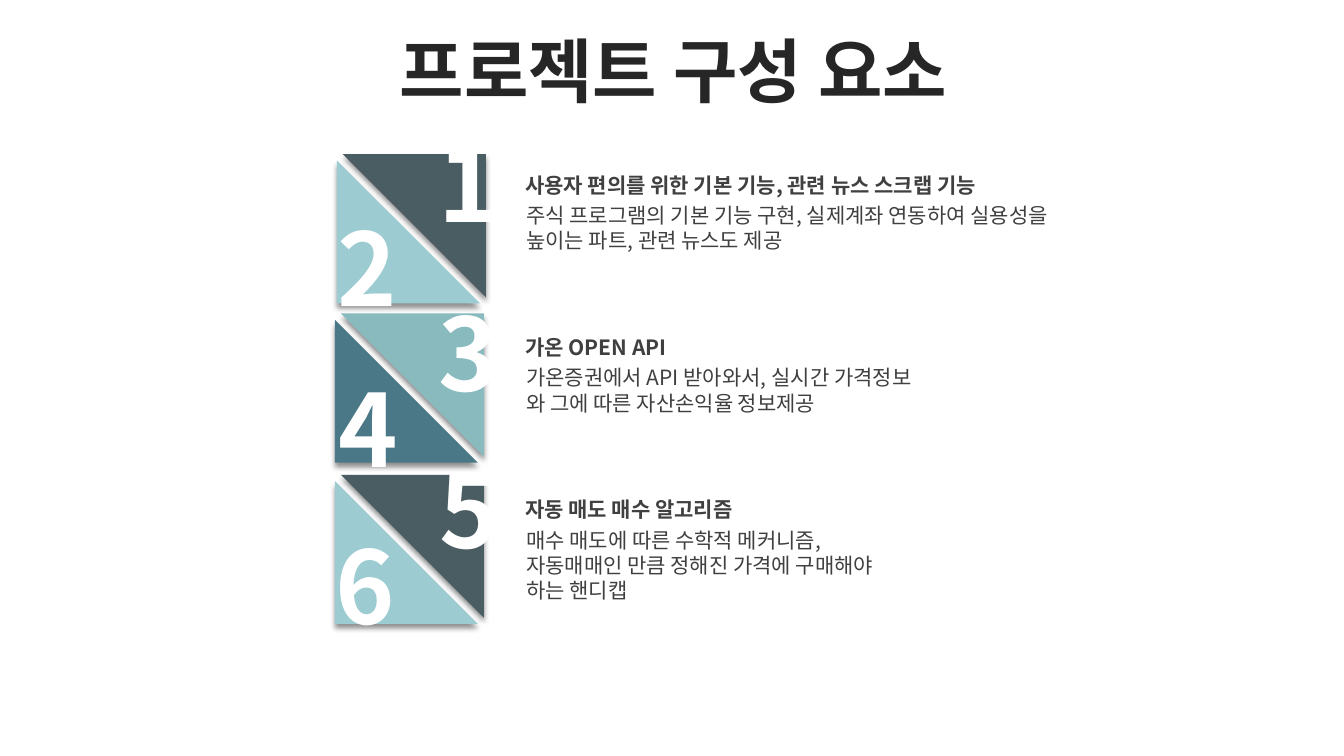
import pptx
import pptx.util
import pptx.dml.color
import pptx.enum.shapes
import pptx.enum.text
import pptx.oxml
import pptx.oxml.ns

PX = 9144
FONT = "Noto Sans CJK KR"
COLORS = {
    "title": "262626",
    "body": "404040",
    "number": "FFFFFF",
    "light": "9CCCD2",
    "slate": "4A5D62",
    "teal": "4A7886",
    "mint": "88BABE",
}
SHADOW = (
    f'<a:effectLst {pptx.oxml.ns.nsdecls("a")}>'
    '<a:outerShdw blurRad="50800" dist="38100" dir="5400000" algn="t" rotWithShape="0">'
    '<a:srgbClr val="000000"><a:alpha val="43000"/></a:srgbClr>'
    "</a:outerShdw></a:effectLst>"
)

presentation = pptx.Presentation()
presentation.slide_width = 1333 * PX
presentation.slide_height = 750 * PX
slide = presentation.slides.add_slide(presentation.slide_layouts[6])


def add_text(text, left, top, width, height, size, color, bold=False, centered=False):
    box = slide.shapes.add_textbox(left * PX, top * PX, width * PX, height * PX)
    frame = box.text_frame
    frame.word_wrap = True
    frame.text = text
    paragraph = frame.paragraphs[0]
    if centered:
        paragraph.alignment = pptx.enum.text.PP_ALIGN.CENTER
    font = paragraph.runs[0].font
    font.name = FONT
    font.size = pptx.util.Pt(size)
    font.bold = bold
    font.color.rgb = pptx.dml.color.RGBColor.from_string(COLORS[color])
    east_asian = pptx.oxml.parse_xml(f'<a:ea {pptx.oxml.ns.nsdecls("a")} typeface="{FONT}"/>')
    font._element.append(east_asian)
    return frame


def add_triangle(left, top, color, rotation):
    triangle = slide.shapes.add_shape(
        pptx.enum.shapes.MSO_SHAPE.RIGHT_TRIANGLE, left * PX, top * PX, 142 * PX, 142 * PX
    )
    triangle.rotation = rotation
    triangle.fill.solid()
    triangle.fill.fore_color.rgb = pptx.dml.color.RGBColor.from_string(COLORS[color])
    triangle.line.fill.background()
    triangle._element.spPr.append(pptx.oxml.parse_xml(SHADOW))


title = add_text("프로젝트 구성 요소", 35, 37, 1266, 79, 50, "title", True, True)
title.vertical_anchor = pptx.enum.text.MSO_ANCHOR.MIDDLE
title.paragraphs[0].line_spacing = 0.8
title.paragraphs[0].space_before = pptx.util.Pt(10)

for left, top, lower_color, upper_color in [
    (334, 159, "light", "slate"),
    (332, 317, "teal", "mint"),
    (332, 477, "light", "slate"),
]:
    add_triangle(left, top, lower_color, 0)
    add_triangle(left + 6, top - 6, upper_color, 180)

number_positions = [(423, 116), (323, 199), (423, 283), (324, 359), (424, 439), (321, 515)]
for number, (left, top) in enumerate(number_positions, 1):
    frame = add_text(str(number), left, top, 67, 131, 72, "number", True, True)
    frame.margin_left = frame.margin_right = 12 * PX

components = [
    (
        "사용자 편의를 위한 기본 기능, 관련 뉴스 스크랩 기능",
        "주식 프로그램의 기본 기능 구현, 실제계좌 연동하여 실용성을 높이는 파트, 관련 뉴스도 제공",
        562,
        61,
    ),
    (
        "가온 OPEN API",
        "가온증권에서 API 받아와서, 실시간 가격정보 와 그에 따른 자산손익율 정보제공",
        407,
        59,
    ),
    (
        "자동 매도 매수 알고리즘",
        "매수 매도에 따른 수학적 메커니즘, 자동매매인 만큼 정해진 가격에 구매해야 하는 핸디캡",
        407,
        86,
    ),
]
for row, (heading, description, width, height) in enumerate(components):
    top = 166 + 161 * row
    add_text(description, 512, top + 30, width, height, 15, "body")
    add_text(heading, 511, top, width - 4, 34, 15, "body", True)

presentation.save("out.pptx")
